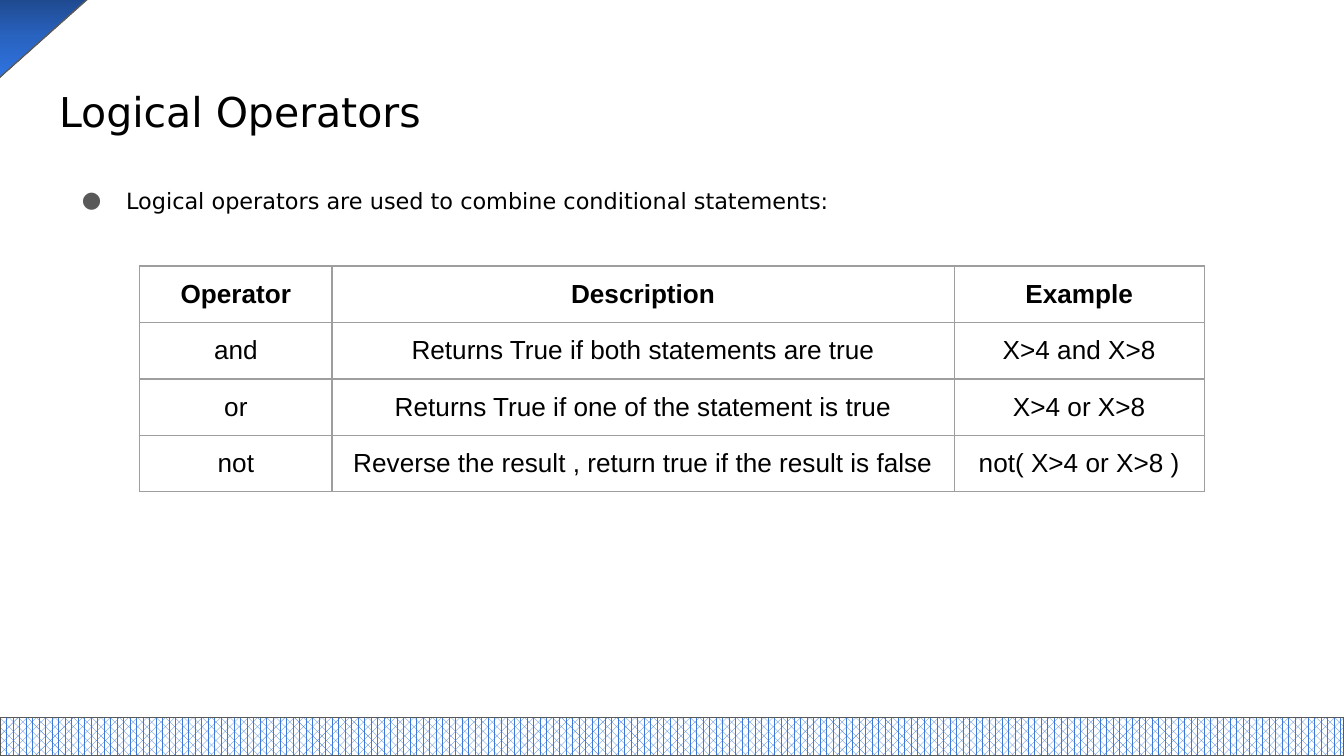
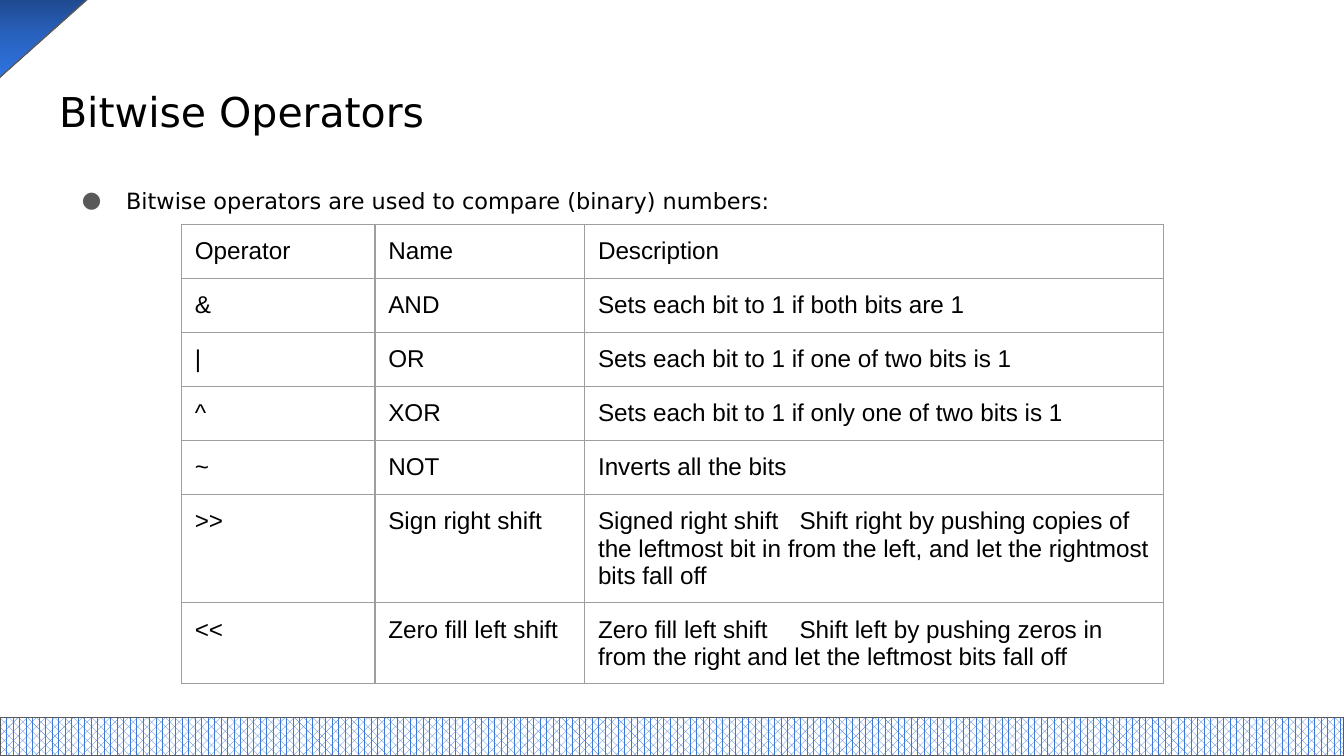
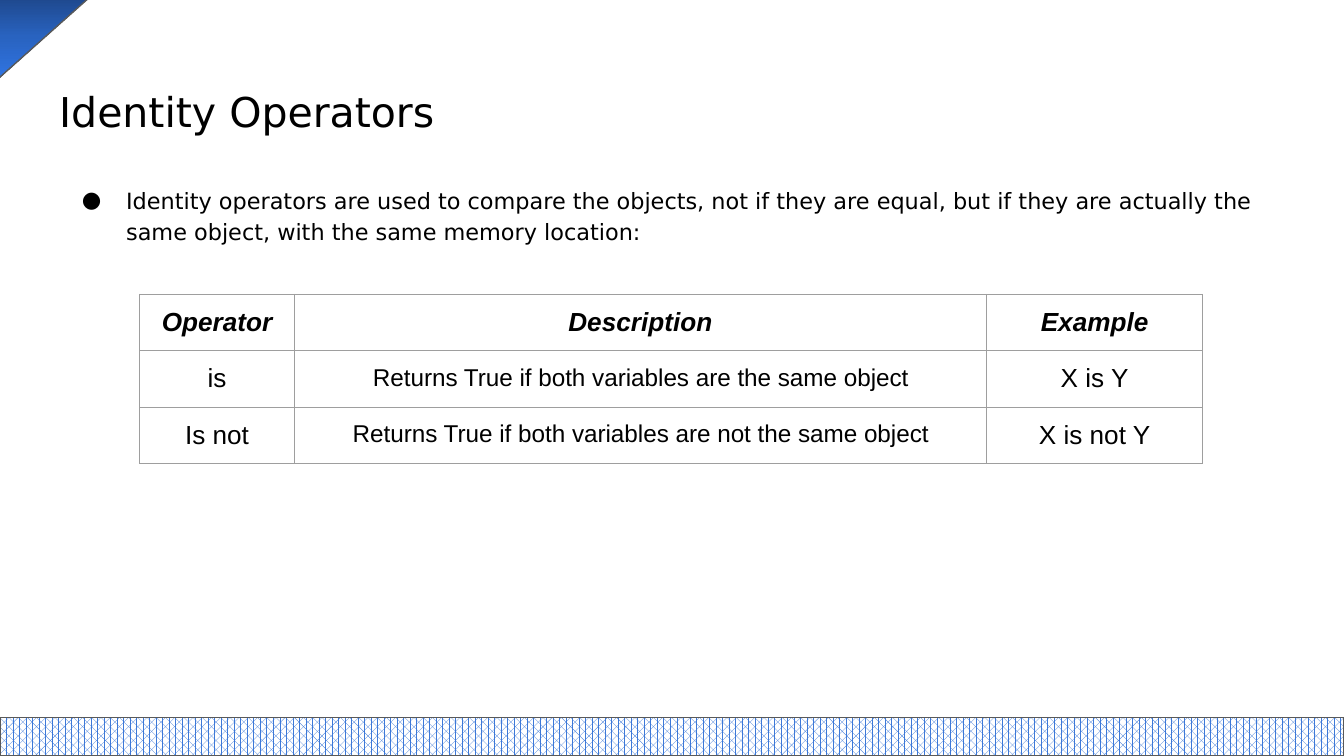
from copy import deepcopy
from dataclasses import dataclass

from lxml.etree import SubElement
from pptx import Presentation
from pptx.dml.color import RGBColor
from pptx.enum.dml import MSO_PATTERN
from pptx.enum.shapes import MSO_SHAPE
from pptx.enum.text import MSO_ANCHOR, MSO_AUTO_SIZE, PP_ALIGN
from pptx.oxml.ns import qn
from pptx.util import Inches, Pt


@dataclass(frozen=True)
class Theme:
    text: str = "000000"
    paper: str = "FFFFFF"
    outline: str = "595959"
    cell_border: str = "9E9E9E"
    band: str = "3C78D8"
    corner: tuple = ((0, "1D4587"), (0.5, "2963C0"), (1, "3075E4"))
    heading_font: str = "DejaVu Sans"
    table_font: str = "Arial"
    title_size: int = 22
    body_size: int = 12
    table_size: int = 14
    small_table_size: int = 13
    line_width: float = 0.75


theme = Theme()

slides = [
    {
        "title": "Logical Operators",
        "intro": "Logical operators are used to combine conditional statements:",
        "bullet": theme.outline,
        "origin": (10.4, 19.8),
        "columns": (14.3, 46.3, 18.6),
        "rows": (4.2,) * 4,
        "align": PP_ALIGN.CENTER,
        "header": {"bold": True},
        "sizes": (theme.table_size,) * 3,
        "cells": [
            ("Operator", "Description", "Example"),
            ("and", "Returns True if both statements are true", "X>4 and X>8"),
            ("or", "Returns True if one of the statement is true", "X>4 or X>8"),
            ("not", "Reverse the result , return true if the result is false", "not( X>4 or X>8 )"),
        ],
    },
    {
        "title": "Bitwise Operators",
        "intro": "Bitwise operators are used to compare (binary) numbers:",
        "bullet": theme.outline,
        "origin": (13.5, 16.7),
        "columns": (14.4, 15.6, 43.1),
        "rows": (3.8,) * 5 + (7.8, 5.8),
        "align": PP_ALIGN.LEFT,
        "header": {},
        "sizes": (theme.small_table_size,) * 3,
        "cells": [
            ("Operator", "Name", "Description"),
            ("&", "AND", "Sets each bit to 1 if both bits are 1"),
            ("|", "OR", "Sets each bit to 1 if one of two bits is 1"),
            ("^", "XOR", "Sets each bit to 1 if only one of two bits is 1"),
            ("~", "NOT", "Inverts all the bits"),
            (">>", "Sign right shift",
             "Signed right shift\tShift right by pushing copies of the leftmost bit "
             "in from the left, and let the rightmost bits fall off"),
            ("<<", "Zero fill left shift",
             "Zero fill left shift\tShift left by pushing zeros in from the right "
             "and let the leftmost bits fall off"),
        ],
    },
    {
        "title": "Identity Operators",
        "intro": "Identity operators are used to compare the objects, not if they are equal, "
                 "but if they are actually the same object, with the same memory location:",
        "bullet": theme.text,
        "origin": (10.4, 21.9),
        "columns": (11.5, 51.5, 16.1),
        "rows": (4.2,) * 3,
        "align": PP_ALIGN.CENTER,
        "header": {"bold": True, "italic": True},
        "sizes": (theme.table_size, theme.small_table_size, theme.table_size),
        "cells": [
            ("Operator", "Description", "Example"),
            ("is", "Returns True if both variables are the same object", "X is Y"),
            ("Is not", "Returns True if both variables are not the same object", "X is not Y"),
        ],
    },
]

presentation = Presentation()
presentation.slide_width = Inches(10)
presentation.slide_height = int(presentation.slide_width * 9 / 16)
title_only = presentation.slide_layouts[5]


def grid(*lengths):
    """Convert lengths on a square grid of 100 columns across the slide."""
    return [round(length * presentation.slide_width / 100) for length in lengths]


def write(paragraph, text, font_name, size, **extra):
    run = paragraph.add_run()
    run.text = text
    run.font.color.rgb = RGBColor.from_string(theme.text)
    for name, value in {"name": font_name, "size": Pt(size), **extra}.items():
        setattr(run.font, name, value)


margin = grid(1)[0]
frame_format = {
    "margin_left": margin, "margin_right": margin,
    "margin_top": margin, "margin_bottom": margin,
    "word_wrap": True, "auto_size": MSO_AUTO_SIZE.NONE,
    "vertical_anchor": MSO_ANCHOR.TOP,
}

for content in slides:
    slide = presentation.slides.add_slide(title_only)

    # Title and introduction
    title = slide.shapes.title
    title_place = zip(("left", "top", "width", "height"), grid(3.4, 4.9, 93.2, 6.3))
    for name, value in title_place:
        setattr(title, name, value)
    intro = slide.shapes.add_textbox(*grid(3.4, 12.6, 93.2, 37.4))
    for shape, text, size in (
        (title, content["title"], theme.title_size),
        (intro, content["intro"], theme.body_size),
    ):
        for name, value in frame_format.items():
            setattr(shape.text_frame, name, value)
        paragraph = shape.text_frame.paragraphs[0]
        paragraph.alignment = PP_ALIGN.LEFT
        paragraph.line_spacing = 1.15
        write(paragraph, text, theme.heading_font, size)
    title.text_frame.paragraphs[0].space_before = Pt(8)

    properties = intro.text_frame.paragraphs[0]._p.get_or_add_pPr()
    indent, hanging = grid(5, -3.3)
    properties.set("marL", str(indent))
    properties.set("indent", str(hanging))
    bullet_color = SubElement(properties, qn("a:buClr"))
    SubElement(bullet_color, qn("a:srgbClr"), val=content["bullet"])
    SubElement(properties, qn("a:buFont"), typeface=theme.heading_font)
    SubElement(properties, qn("a:buChar"), char="●")

    # Operator table
    table = slide.shapes.add_table(
        len(content["rows"]), len(content["columns"]),
        *grid(*content["origin"], sum(content["columns"]), sum(content["rows"])),
    ).table
    table.first_row = table.horz_banding = False
    for column, width in zip(table.columns, grid(*content["columns"])):
        column.width = width
    for row, height in zip(table.rows, grid(*content["rows"])):
        row.height = height
    for row_index, texts in enumerate(content["cells"]):
        for column_index, text in enumerate(texts):
            cell = table.cell(row_index, column_index)
            for side in ("left", "right", "top", "bottom"):
                setattr(cell, f"margin_{side}", margin)
            cell_properties = cell._tc.get_or_add_tcPr()
            for edge in "LRTB":
                border = SubElement(cell_properties, qn(f"a:ln{edge}"), w=str(Pt(theme.line_width)))
                border_fill = SubElement(border, qn("a:solidFill"))
                SubElement(border_fill, qn("a:srgbClr"), val=theme.cell_border)
            cell.fill.background()
            paragraph = cell.text_frame.paragraphs[0]
            paragraph.alignment = content["align"]
            is_header = row_index == 0
            size = content["sizes"][0 if is_header else column_index]
            write(paragraph, text, theme.table_font, size, **(content["header"] if is_header else {}))

    # Bottom band and corner
    band = slide.shapes.add_shape(MSO_SHAPE.RECTANGLE, *grid(0, 53.4, 100, 2.8))
    band.fill.patterned()
    band.fill.pattern = MSO_PATTERN.PERCENT_70
    band.fill.fore_color.rgb = RGBColor.from_string(theme.band)
    band.fill.back_color.rgb = RGBColor.from_string(theme.paper)

    corner = slide.shapes.add_shape(MSO_SHAPE.RIGHT_TRIANGLE, *grid(0.1, -0.9, 6.5, 7.3))
    corner.rotation = 90
    corner.fill.gradient()
    corner.fill.gradient_angle = 0
    stop_list = corner._element.spPr.find(".//" + qn("a:gsLst"))
    stop_list.insert(1, deepcopy(stop_list[0]))
    for stop, (position, color) in zip(corner.fill.gradient_stops, theme.corner):
        stop.position = position
        stop.color.rgb = RGBColor.from_string(color)

    for shape in (band, corner):
        shape.shadow.inherit = False
        shape.line.color.rgb = RGBColor.from_string(theme.outline)
        shape.line.width = Pt(theme.line_width)

presentation.save("out.pptx")
